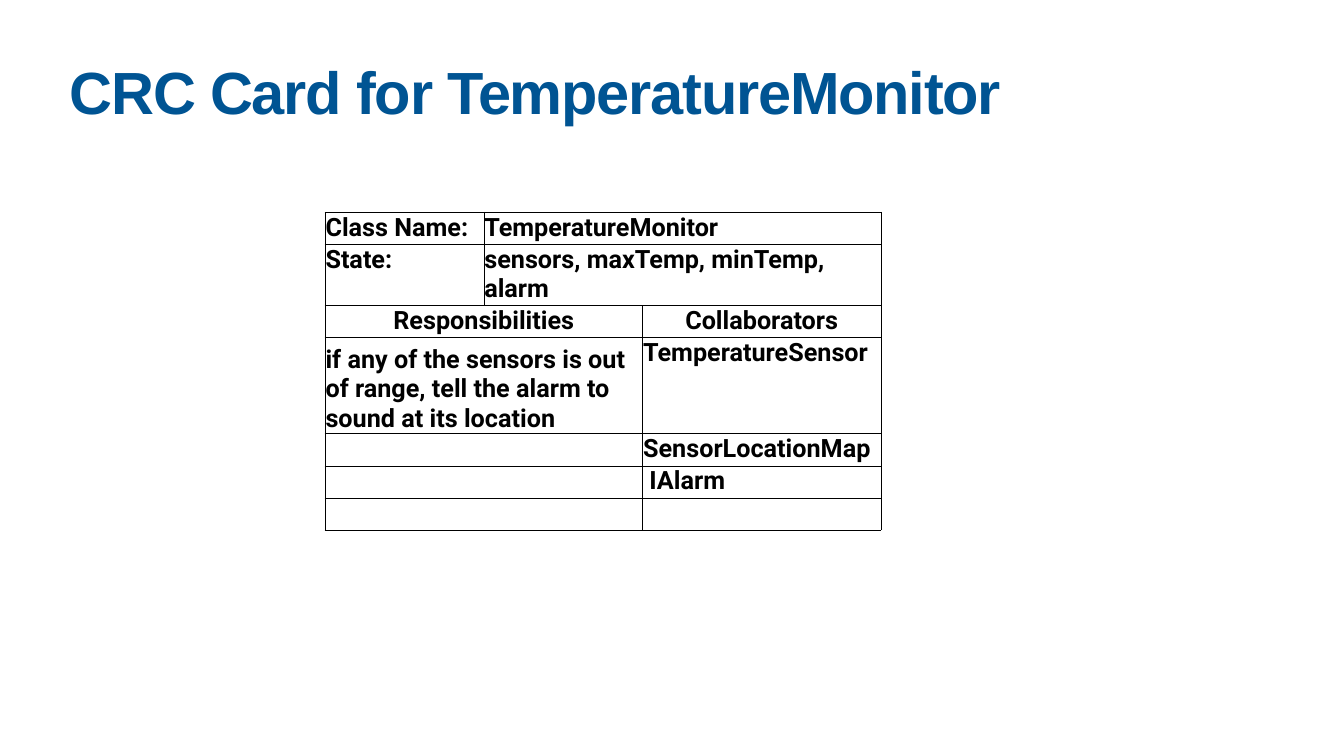
from lxml import etree
from pptx import Presentation
from pptx import util as u
from pptx.dml.color import RGBColor
from pptx.enum import text
from pptx.oxml import ns

WIDTH, HEIGHT = u.Inches(26.67), u.Inches(15)
TITLE_BLUE = RGBColor(0x00, 0x54, 0x93)
BLACK = RGBColor(0x00, 0x00, 0x00)

COLUMN_SHARES = (2, 2, 3)
ROW_UNITS = (1, 1, 1, 3, 1, 1, 1)
NAME_SPLIT, DUTY_SPLIT = 1, 2  # column where the right-hand cell starts
CENTER, LEFT = text.PP_ALIGN.CENTER, text.PP_ALIGN.LEFT
TOP, BOTTOM = text.MSO_ANCHOR.TOP, text.MSO_ANCHOR.BOTTOM

# split column, left text, right text, alignment, anchor of the left cell
CARD_ROWS = (
    (NAME_SPLIT, "Class Name:", "TemperatureMonitor", LEFT, TOP),
    (NAME_SPLIT, "State:", "sensors, maxTemp, minTemp, alarm", LEFT, TOP),
    (DUTY_SPLIT, "Responsibilities", "Collaborators", CENTER, TOP),
    (DUTY_SPLIT, "if any of the sensors is out of range, tell the alarm to "
     "sound at its location", "TemperatureSensor", LEFT, BOTTOM),
    (DUTY_SPLIT, "", "SensorLocationMap", LEFT, TOP),
    (DUTY_SPLIT, "", "\N{NO-BREAK SPACE}IAlarm", LEFT, TOP),
    (DUTY_SPLIT, "", "", LEFT, TOP),
)


def add_run(paragraph, words, font_name, size, color):
    run = paragraph.add_run()
    run.text = words
    font = run.font
    font.name, font.size, font.bold = font_name, u.Pt(size), True
    font.color.rgb = color
    return run


def add_title(slide, left, top, width, height):
    frame = slide.shapes.add_textbox(left, top, width, height).text_frame
    frame.word_wrap = True
    frame.vertical_anchor = TOP
    frame.margin_left = frame.margin_right = frame.margin_bottom = u.Inches(0.06)
    frame.margin_top = u.Inches(0.18)
    heading = frame.paragraphs[0]
    heading.line_spacing = 0.8
    run = add_run(heading, "CRC Card for TemperatureMonitor", "Arial", 85, TITLE_BLUE)
    run.font._element.set("spc", "-170")


def outline_cell(cell):
    """Give the cell a thin black border and no fill."""
    properties = cell._tc.get_or_add_tcPr()
    for side in ("a:lnL", "a:lnR", "a:lnT", "a:lnB"):
        line = etree.SubElement(properties, ns.qn(side), w=str(u.Pt(1)))
        fill = etree.SubElement(line, ns.qn("a:solidFill"))
        etree.SubElement(fill, ns.qn("a:srgbClr"), val=str(BLACK))
    cell.fill.background()


def write_cell(cell, words, align, anchor):
    if not words:
        return
    cell.margin_left = cell.margin_right = u.Inches(0.01)
    cell.margin_top = cell.margin_bottom = u.Inches(0.01)
    cell.vertical_anchor = anchor
    paragraph = cell.text_frame.paragraphs[0]
    paragraph.alignment = align
    add_run(paragraph, words, "Roboto", 36, BLACK)


def add_crc_card(slide, left, top, width, height):
    card = slide.shapes.add_table(len(ROW_UNITS), len(COLUMN_SHARES),
                                  left, top, width, height).table
    card.first_row = card.horz_banding = False
    for column, share in zip(card.columns, COLUMN_SHARES):
        column.width = int(width * share / sum(COLUMN_SHARES))
    for row, units in zip(card.rows, ROW_UNITS):
        row.height = int(height * units / sum(ROW_UNITS))
    for cell in card.iter_cells():
        outline_cell(cell)

    last = len(COLUMN_SHARES) - 1
    for index, (split, label, value, align, anchor) in enumerate(CARD_ROWS):
        if split == NAME_SPLIT:
            card.cell(index, split).merge(card.cell(index, last))
        else:
            card.cell(index, 0).merge(card.cell(index, split - 1))
        write_cell(card.cell(index, 0), label, align, anchor)
        write_cell(card.cell(index, split), value, align, TOP)


def main():
    deck = Presentation()
    deck.slide_width, deck.slide_height = WIDTH, HEIGHT
    slide = deck.slides.add_slide(deck.slide_layouts[6])
    add_title(slide, u.Inches(1.32), u.Inches(1.18), u.Inches(24.03), u.Inches(1.57))
    add_crc_card(slide, u.Inches(6.45), u.Inches(4.21), u.Inches(11.03), u.Inches(5.72))
    deck.save("out.pptx")


if __name__ == "__main__":
    main()
